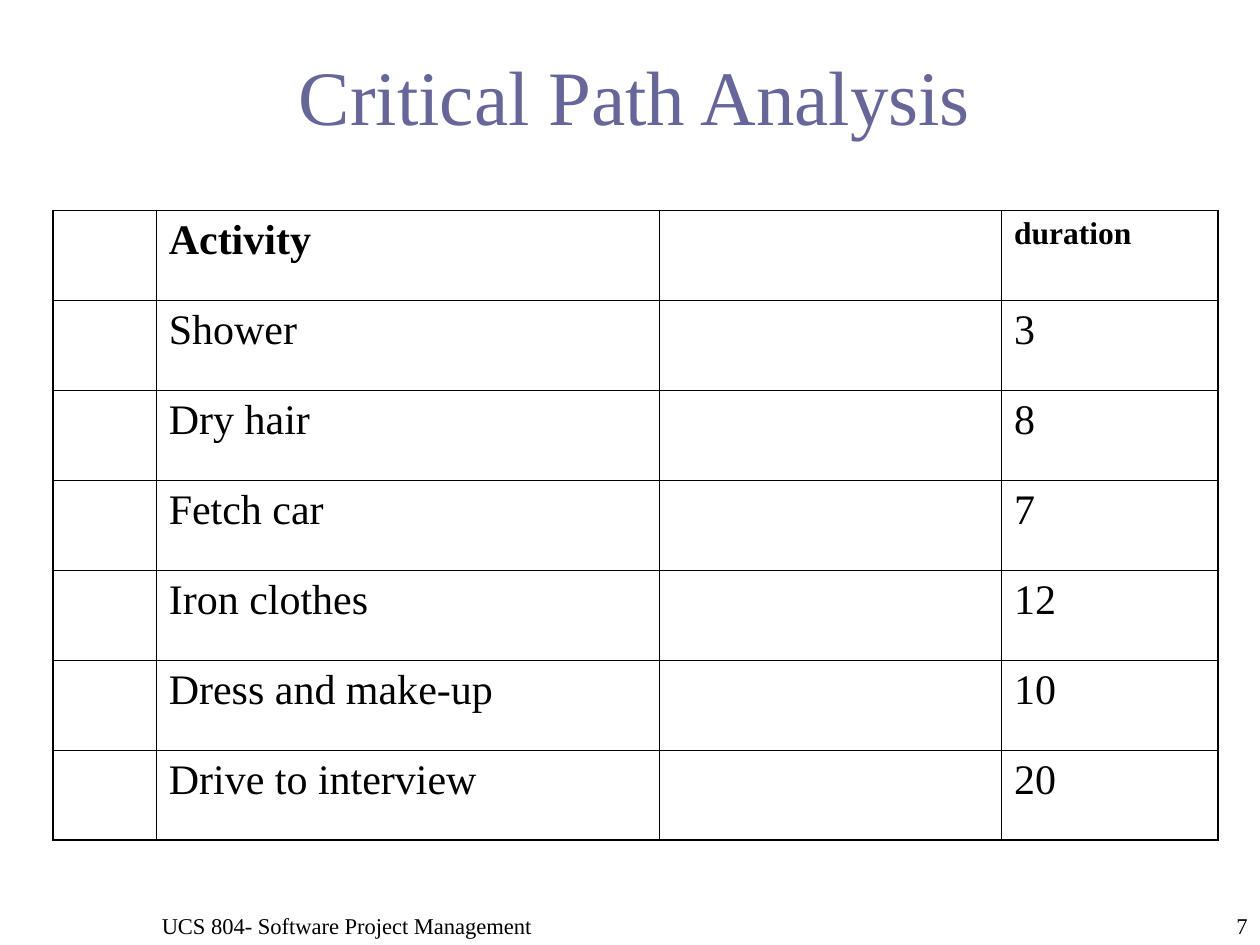
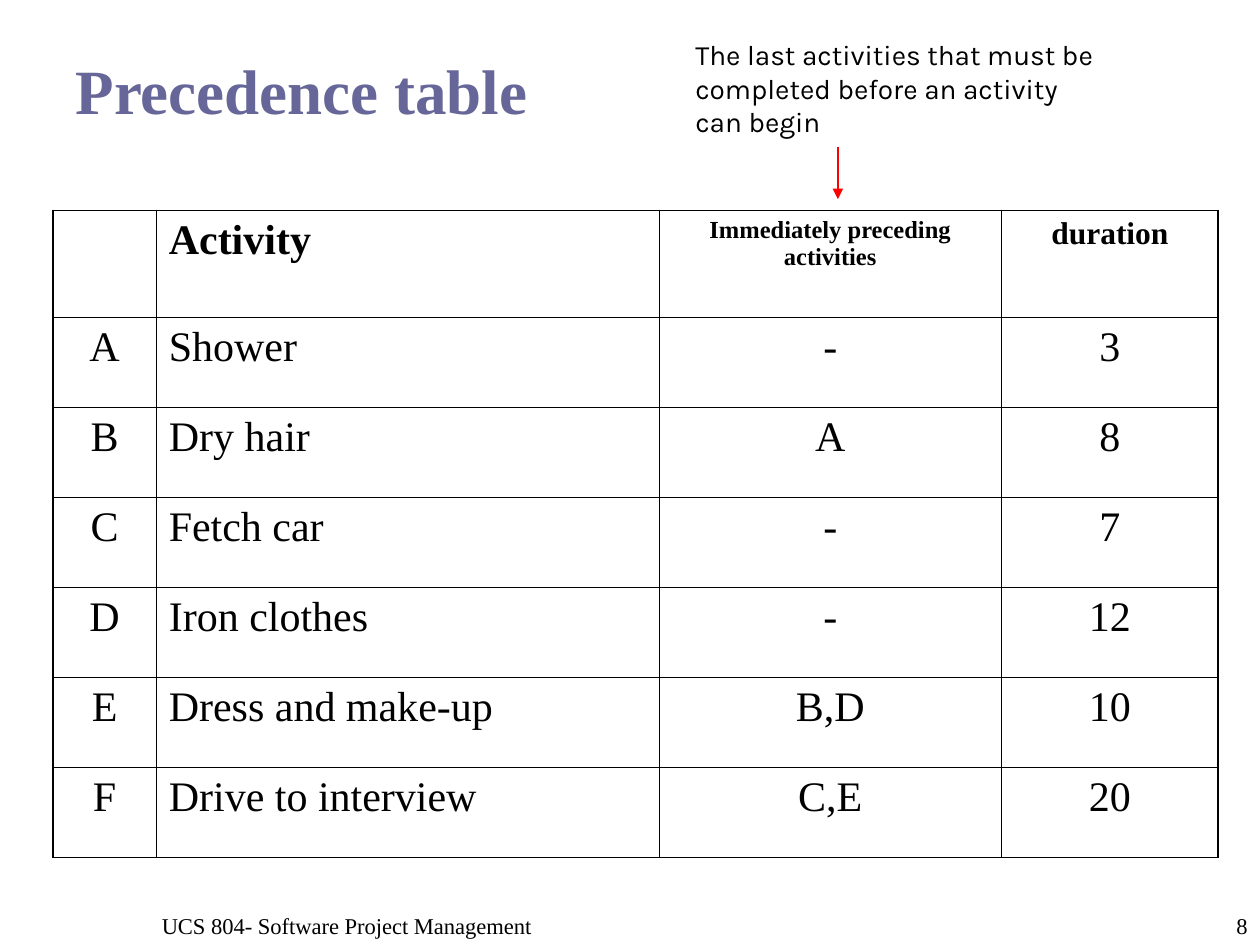
from lxml import etree
from pptx import Presentation
from pptx import util as u
from pptx.dml import color
from pptx.enum import shapes, text
from pptx.oxml import ns

SERIF, SANS = "Times New Roman", "Karla"
BLACK, TITLE_COLOR, RED = "000000", "666699", "FF0000"
LEFT, CENTER, RIGHT = text.PP_ALIGN.LEFT, text.PP_ALIGN.CENTER, text.PP_ALIGN.RIGHT
TOP, MIDDLE, BOTTOM = text.MSO_ANCHOR.TOP, text.MSO_ANCHOR.MIDDLE, text.MSO_ANCHOR.BOTTOM

FOOTER = "UCS 804- Software Project Management"
ACTIVITIES = [
    ("A", "Shower", "-", "3"),
    ("B", "Dry hair", "A", "8"),
    ("C", "Fetch car", "-", "7"),
    ("D", "Iron clothes", "-", "12"),
    ("E", "Dress and make-up", "B,D", "10"),
    ("F", "Drive to interview", "C,E", "20"),
]
PAGES = [
    {
        "number": "7",
        "title": "Critical Path Analysis",
        "title_box": (0.5, 0.25, 9.08, 1),
        "title_format": {"size": 44, "align": CENTER},
        "header": ("", "Activity", "", "duration"),
        "rows": [("", name, "", duration) for _, name, _, duration in ACTIVITIES],
        "header_height": 5 / 7,
        "aligns": (LEFT, LEFT, LEFT, LEFT),
    },
    {
        "number": "8",
        "title": "Precedence table",
        "title_box": (0.5, 0.25, 4.5, 0.92),
        "title_format": {"size": 36, "bold": True},
        "header": ("", "Activity", "Immediately preceding activities", "duration"),
        "rows": ACTIVITIES,
        "header_height": 0.85,
        "aligns": (CENTER, LEFT, CENTER, CENTER),
        "note": "The last activities that must be completed before an activity can begin",
    },
]

TABLE_LEFT, TABLE_TOP = 0.42, 1.67
COLUMN_WIDTHS = (0.82, 3.99, 2.72, 1.72)
ROW_HEIGHT = 5 / 7
HEADER_SIZES = (24, 24, 14, 18)
BODY_SIZE = 24
THIN, THICK = 0.45, 1.08
FOOTER_TOP, FOOTER_HEIGHT = 7.17, 0.33


def rgb(hex_color):
    return color.RGBColor.from_string(hex_color)


def inches(*lengths):
    return [u.Inches(length) for length in lengths]


def write(frame, content, size, font=SERIF, fill=BLACK, bold=False, align=LEFT, before=0):
    para = frame.paragraphs[0]
    para.alignment = align
    para.space_before = u.Pt(before)
    span = para.add_run()
    span.text = content
    span.font.name = font
    span.font.size = u.Pt(size)
    span.font.bold = bold
    span.font.color.rgb = rgb(fill)


def add_text(page, content, place, anchor=TOP, **text_format):
    frame = page.shapes.add_textbox(*inches(*place)).text_frame
    frame.word_wrap = True
    frame.vertical_anchor = anchor
    write(frame, content, **text_format)


def add_title(page, content, place, **text_format):
    title = page.shapes.title
    title.left, title.top, title.width, title.height = inches(*place)
    title.text_frame.auto_size = text.MSO_AUTO_SIZE.NONE
    title.text_frame.vertical_anchor = MIDDLE
    write(title.text_frame, content, fill=TITLE_COLOR, **text_format)


def add_footer(page, number):
    common = {"size": 12.9, "anchor": BOTTOM}
    add_text(page, number, (8.92, FOOTER_TOP, 1.08, FOOTER_HEIGHT), align=RIGHT, **common)
    add_text(page, FOOTER, (0, FOOTER_TOP, 5.5, FOOTER_HEIGHT), align=CENTER, **common)


def set_borders(cell, **widths):
    properties = cell._tc.get_or_add_tcPr()
    for side, width in widths.items():
        line = etree.SubElement(properties, ns.qn(f"a:ln{side}"), w=str(u.Pt(width)))
        solid = etree.SubElement(line, ns.qn("a:solidFill"))
        etree.SubElement(solid, ns.qn("a:srgbClr"), val=BLACK)


def add_activity_table(page, header, rows, header_height, aligns):
    lines = [header, *rows]
    heights = [header_height] + [ROW_HEIGHT] * len(rows)
    last_row, last_column = len(lines) - 1, len(header) - 1
    place = inches(TABLE_LEFT, TABLE_TOP, sum(COLUMN_WIDTHS), sum(heights))
    table = page.shapes.add_table(len(lines), len(header), *place).table
    table.horz_banding = False
    for column, width in zip(table.columns, COLUMN_WIDTHS):
        column.width = u.Inches(width)
    for r, (line, height) in enumerate(zip(lines, heights)):
        table.rows[r].height = u.Inches(height)
        for c, content in enumerate(line):
            cell = table.cell(r, c)
            set_borders(
                cell,
                L=THICK if c == 0 else THIN,
                R=THICK if c == last_column else THIN,
                T=THICK if r in (0, 1) else THIN,
                B=THICK if r in (0, last_row) else THIN,
            )
            cell.fill.background()
            if content:
                size = HEADER_SIZES[c] if r == 0 else BODY_SIZE
                write(cell.text_frame, content, size, bold=r == 0,
                      align=aligns[c], before=size / 4)


def add_arrow(page, start, end):
    arrow = page.shapes.add_connector(shapes.MSO_CONNECTOR.STRAIGHT, *inches(*start, *end))
    arrow.line.color.rgb = rgb(RED)
    arrow.line.width = u.Pt(1)
    etree.SubElement(arrow.line._get_or_add_ln(), ns.qn("a:tailEnd"), type="triangle")
    etree.SubElement(arrow._element.spPr, ns.qn("a:effectLst"))


def build_page(deck, content):
    page = deck.slides.add_slide(deck.slide_layouts[5])
    add_footer(page, content["number"])
    add_title(page, content["title"], content["title_box"], **content["title_format"])
    add_activity_table(page, content["header"], content["rows"],
                       content["header_height"], content["aligns"])
    if "note" in content:
        add_text(page, content["note"], (5.42, 0.25, 3.42, 0.9), size=16, font=SANS)
        add_arrow(page, (6.65, 1.17), (6.65, 1.58))


def main():
    deck = Presentation()
    deck.slide_width, deck.slide_height = inches(10, 7.5)
    for content in PAGES:
        build_page(deck, content)
    deck.save("out.pptx")


if __name__ == "__main__":
    main()
